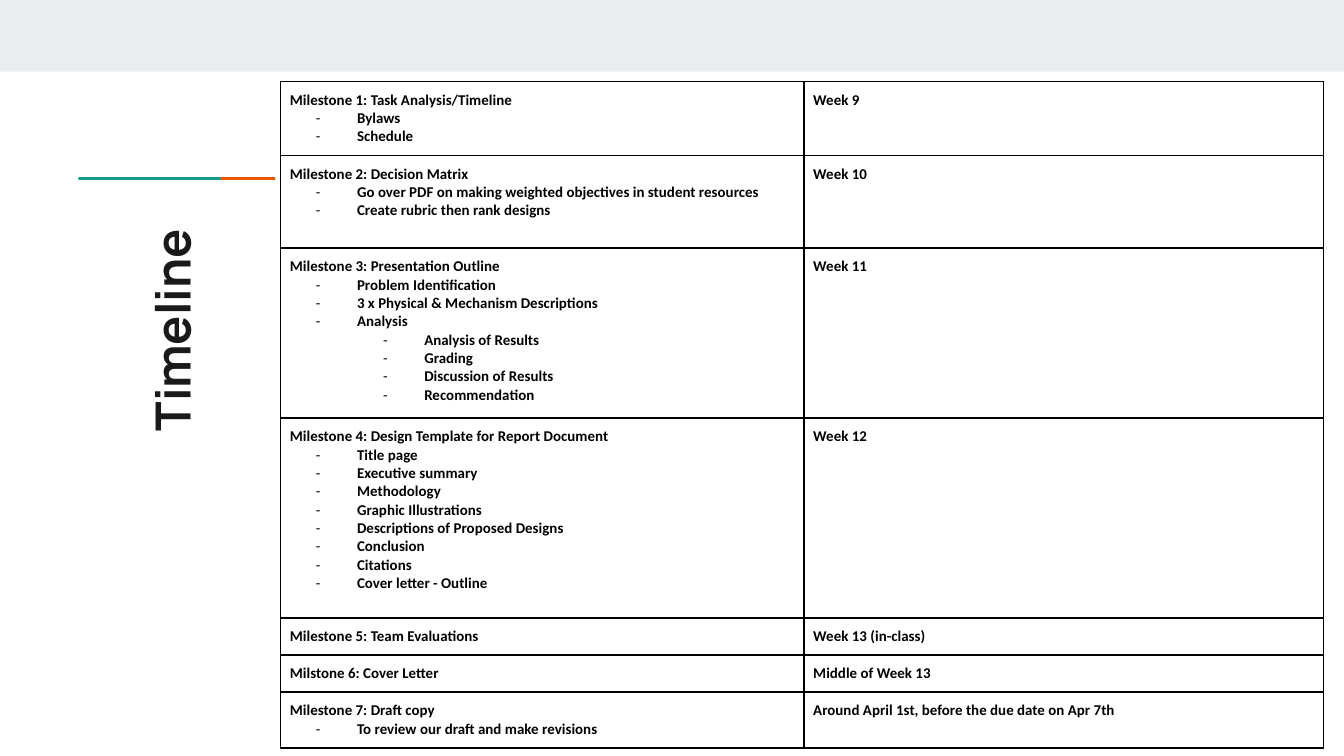
from lxml.etree import SubElement, fromstring
from pptx import Presentation
from pptx.dml.color import RGBColor
from pptx.enum.shapes import MSO_SHAPE
from pptx.enum.text import MSO_ANCHOR, MSO_AUTO_SIZE, PP_ALIGN
from pptx.oxml.ns import nsdecls, qn
from pptx.util import Pt

BAND_GRAY = RGBColor(0xE9, 0xED, 0xEE)
ORANGE = RGBColor(0xEB, 0x56, 0x00)
TEAL = RGBColor(0x1A, 0x99, 0x88)
INK = RGBColor(0x1A, 0x1A, 0x1A)
BLACK = RGBColor(0, 0, 0)

COLUMN_WIDTHS = [280.4, 278.3]
MILESTONES = [
    (39.6, "Week 9", "Milestone 1: Task Analysis/Timeline",
     [(0, "Bylaws"), (0, "Schedule")]),
    (49.6, "Week 10", "Milestone 2: Decision Matrix",
     [(0, "Go over PDF on making weighted objectives in student resources"),
      (0, "Create rubric then rank designs")]),
    (91.1, "Week 11", "Milestone 3: Presentation Outline",
     [(0, "Problem Identification"),
      (0, "3 x Physical & Mechanism Descriptions"),
      (0, "Analysis"),
      (1, "Analysis of Results"),
      (1, "Grading"),
      (1, "Discussion of Results"),
      (1, "Recommendation")]),
    (107.1, "Week 12", "Milestone 4: Design Template for Report Document",
     [(0, "Title page"), (0, "Executive summary"), (0, "Methodology"),
      (0, "Graphic Illustrations"), (0, "Descriptions of Proposed Designs"),
      (0, "Conclusion"), (0, "Citations"), (0, "Cover letter - Outline")]),
    (19.9, "Week 13 (in-class)", "Milestone 5: Team Evaluations", []),
    (19.9, "Middle of Week 13", "Milstone 6: Cover Letter", []),
    (29.8, "Around April 1st, before the due date on Apr 7th",
     "Milestone 7: Draft copy",
     [(0, "To review our draft and make revisions")]),
]


def add_bar(slide, left, top, width, height, color, rotation=0):
    bar = slide.shapes.add_shape(
        MSO_SHAPE.RECTANGLE, Pt(left), Pt(top), Pt(width), Pt(height))
    bar.rotation = rotation
    bar.shadow.inherit = False
    bar.fill.solid()
    bar.fill.fore_color.rgb = color
    bar.line.fill.background()


def set_font(paragraph, name, size, color):
    paragraph.font.name = name
    paragraph.font.size = Pt(size)
    paragraph.font.bold = True
    paragraph.font.color.rgb = color


def format_title(slide):
    title = slide.shapes.title
    title.left, title.top = Pt(30.4), Pt(149.4)
    title.width, title.height = Pt(127.4), Pt(50.4)
    title.rotation = 270
    frame = title.text_frame
    frame.text = "Timeline"
    frame.auto_size = MSO_AUTO_SIZE.NONE
    frame.word_wrap = True
    frame.vertical_anchor = MSO_ANCHOR.TOP
    frame.margin_left = frame.margin_right = Pt(7.2)
    frame.margin_top = frame.margin_bottom = Pt(7.2)
    heading = frame.paragraphs[0]
    heading.alignment = PP_ALIGN.LEFT
    set_font(heading, "Manrope", 26, INK)


def add_dash(paragraph, level):
    paragraph.level = level
    properties = paragraph._p.get_or_add_pPr()
    properties.set("marL", str(Pt(36 * (level + 1))))
    properties.set("indent", str(-Pt(22)))
    dash_color = SubElement(properties, qn("a:buClr"))
    SubElement(dash_color, qn("a:srgbClr"), val=str(BLACK))
    SubElement(properties, qn("a:buSzPts"), val="800")
    SubElement(properties, qn("a:buFont"), typeface="Calibri")
    SubElement(properties, qn("a:buChar"), char="-")


def add_borders(cell):
    properties = cell._tc.get_or_add_tcPr()
    for position, side in enumerate("LRTB"):
        properties.insert(position, fromstring(
            f'<a:ln{side} {nsdecls("a")} w="{Pt(1)}"><a:solidFill>'
            f'<a:srgbClr val="{BLACK}"/></a:solidFill></a:ln{side}>'))


def fill_cell(cell, heading, tasks=()):
    cell.fill.background()
    add_borders(cell)
    cell.margin_left = cell.margin_right = Pt(5)
    cell.margin_top = cell.margin_bottom = Pt(5)
    frame = cell.text_frame
    frame.text = heading
    for level, task in tasks:
        paragraph = frame.add_paragraph()
        paragraph.text = task
        add_dash(paragraph, level)
    for paragraph in frame.paragraphs:
        set_font(paragraph, "Calibri", 8, BLACK)


def add_schedule(slide):
    total_height = sum(milestone[0] for milestone in MILESTONES)
    schedule = slide.shapes.add_table(
        len(MILESTONES), len(COLUMN_WIDTHS), Pt(150.3), Pt(43.7),
        Pt(sum(COLUMN_WIDTHS)), Pt(total_height)).table
    schedule.first_row = False
    schedule.horz_banding = False
    for column, width in zip(schedule.columns, COLUMN_WIDTHS):
        column.width = Pt(width)
    for row, (height, week, heading, tasks) in zip(schedule.rows, MILESTONES):
        row.height = Pt(height)
        fill_cell(row.cells[0], heading, tasks)
        fill_cell(row.cells[1], week)


def main():
    presentation = Presentation()
    presentation.slide_width = Pt(720)
    presentation.slide_height = Pt(405)
    slide = presentation.slides.add_slide(presentation.slide_layouts[5])
    add_bar(slide, 0, 0, 720, 38.4, BAND_GRAY)
    for left, color in [(108.5, ORANGE), (79.4, TEAL)]:
        add_bar(slide, left, 57.4, 1.5, 76.4, color, rotation=270)
    format_title(slide)
    add_schedule(slide)
    presentation.save("out.pptx")


if __name__ == "__main__":
    main()
